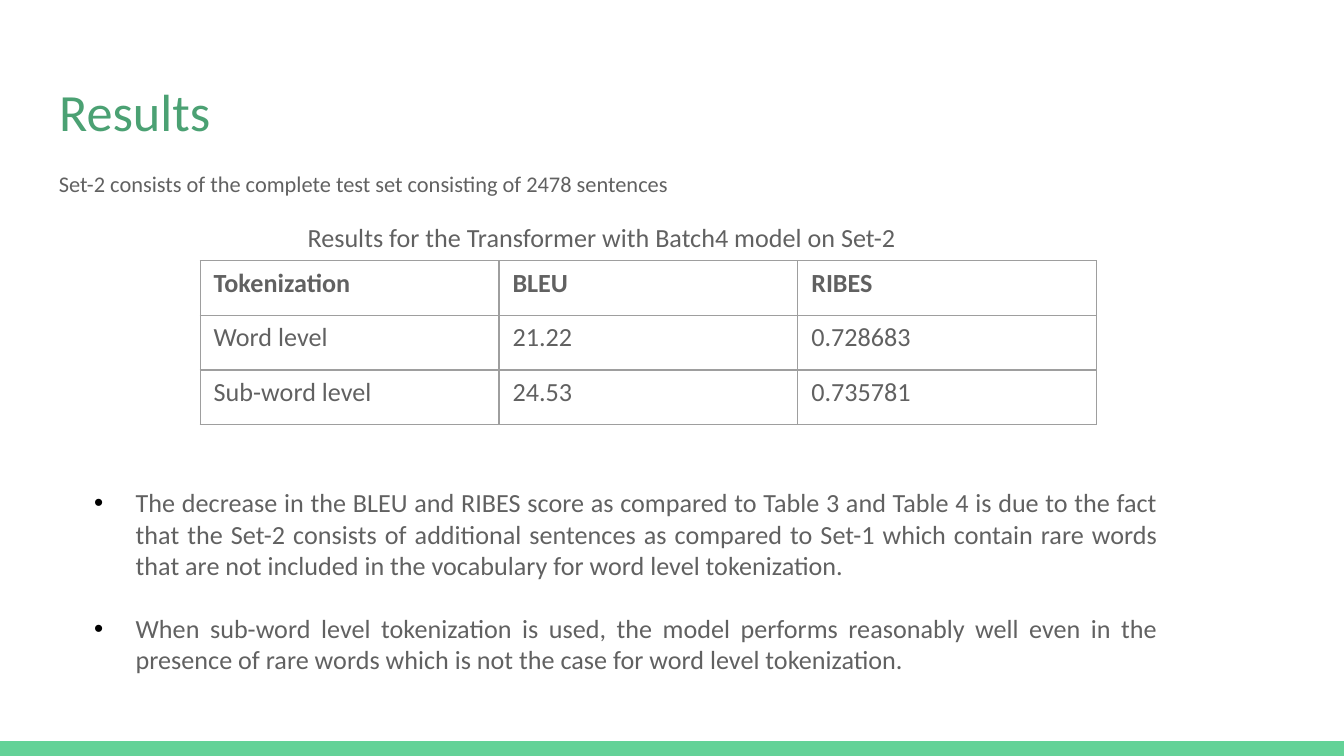
from dataclasses import dataclass

from lxml import etree
from pptx import Presentation
from pptx import util as u
from pptx.dml.color import RGBColor
from pptx.enum import shapes, text
from pptx.oxml import ns


@dataclass(frozen=True)
class Theme:
    font: str = "Calibri"
    title_color: str = "4BA173"
    text_color: str = "616161"
    bar_color: str = "63D297"
    border_color: str = "9E9E9E"
    bullet_color: str = "000000"
    title_size: int = 28
    text_size: int = 14
    note_size: int = 12
    border_width: float = 0.75


@dataclass(frozen=True)
class Area:
    """A place on the grid, in columns and rows of a tenth of an inch."""
    column: float
    row: float
    columns: float
    rows: float

    def lengths(self) -> tuple:
        return tuple(u.Inches(cells * CELL)
                     for cells in (self.column, self.row, self.columns, self.rows))


@dataclass(frozen=True)
class Label:
    words: str
    area: Area
    size: int


THEME = Theme()
CELL = 0.1
COLUMNS, ROWS = 100, 56.25
BAR_ROWS = 1.1

TITLE_AREA = Area(3.4, 4.9, 93.2, 6.3)
TABLE_AREA = Area(14.9, 19.4, 66.7, 12.2)
FINDINGS_AREA = Area(6, 35.7, 81.2, 15.1)

LABELS = [
    Label("Set-2 consists of the complete test set consisting of 2478 sentences",
          Area(3.4, 12.2, 86.3, 3), THEME.note_size),
    Label("Results for the Transformer with Batch4 model on Set-2",
          Area(21.9, 16, 49.3, 3.4), THEME.text_size),
]
SCORES = [
    ("Tokenization", "BLEU", "RIBES"),
    ("Word level", "21.22", "0.728683"),
    ("Sub-word level", "24.53", "0.735781"),
]
FINDINGS = [
    "The decrease in the BLEU and RIBES score as compared to Table 3 and Table 4 "
    "is due to the fact that the Set-2 consists of additional sentences as compared "
    "to Set-1 which contain rare words that are not included in the vocabulary for "
    "word level tokenization.",
    "When sub-word level tokenization is used, the model performs reasonably well "
    "even in the presence of rare words which is not the case for word level "
    "tokenization.",
]


def place(shape, area: Area) -> None:
    shape.left, shape.top, shape.width, shape.height = area.lengths()


def format_runs(paragraph, size: int, color: str = THEME.text_color,
                bold: bool = False) -> None:
    for run in paragraph.runs:
        run.font.name = THEME.font
        run.font.size = u.Pt(size)
        run.font.bold = bold
        run.font.color.rgb = RGBColor.from_string(color)


def add_bullet(paragraph, indent: float = 0.31) -> None:
    properties = paragraph._p.get_or_add_pPr()
    properties.set("marL", str(u.Inches(indent)))
    properties.set("indent", str(-u.Inches(indent)))
    color = etree.SubElement(properties, ns.qn("a:buClr"))
    etree.SubElement(color, ns.qn("a:srgbClr"), val=THEME.bullet_color)
    etree.SubElement(properties, ns.qn("a:buFont"), typeface="Arial")
    etree.SubElement(properties, ns.qn("a:buChar"), char="•")


def add_borders(cell) -> None:
    properties = cell._tc.get_or_add_tcPr()
    for side in ("lnL", "lnR", "lnT", "lnB"):
        line = etree.SubElement(properties, ns.qn(f"a:{side}"),
                                w=str(u.Pt(THEME.border_width)))
        fill = etree.SubElement(line, ns.qn("a:solidFill"))
        etree.SubElement(fill, ns.qn("a:srgbClr"), val=THEME.border_color)


def draw_bar(slide) -> None:
    area = Area(0, ROWS - BAR_ROWS, COLUMNS, BAR_ROWS)
    bar = slide.shapes.add_shape(shapes.MSO_SHAPE.RECTANGLE, *area.lengths())
    bar.shadow.inherit = False
    bar.fill.solid()
    bar.fill.fore_color.rgb = RGBColor.from_string(THEME.bar_color)
    bar.line.fill.background()


def fill_title(title) -> None:
    place(title, TITLE_AREA)
    frame = title.text_frame
    frame.text = "Results"
    frame.auto_size = text.MSO_AUTO_SIZE.NONE
    frame.vertical_anchor = text.MSO_ANCHOR.TOP
    frame.margin_left = frame.margin_right = u.Inches(CELL)
    frame.margin_top = frame.margin_bottom = u.Inches(CELL)
    frame.paragraphs[0].alignment = text.PP_ALIGN.LEFT
    format_runs(frame.paragraphs[0], THEME.title_size, THEME.title_color)


def draw_label(slide, label: Label) -> None:
    frame = slide.shapes.add_textbox(*label.area.lengths()).text_frame
    frame.word_wrap = True
    frame.text = label.words
    format_runs(frame.paragraphs[0], label.size)


def draw_scores(slide) -> None:
    table = slide.shapes.add_table(len(SCORES), len(SCORES[0]),
                                   *TABLE_AREA.lengths()).table
    table.first_row = table.horz_banding = False
    for row, values in enumerate(SCORES):
        for column, value in enumerate(values):
            cell = table.cell(row, column)
            cell.text = value
            add_borders(cell)
            cell.fill.background()
            format_runs(cell.text_frame.paragraphs[0], THEME.text_size, bold=row == 0)


def fill_findings(body) -> None:
    place(body, FINDINGS_AREA)
    frame = body.text_frame
    frame.text = "\n".join(FINDINGS)
    frame.auto_size = text.MSO_AUTO_SIZE.NONE
    for index, paragraph in enumerate(frame.paragraphs):
        add_bullet(paragraph)
        paragraph.alignment = text.PP_ALIGN.JUSTIFY
        paragraph.space_before = u.Pt(17 if index else 0)
        format_runs(paragraph, THEME.text_size)


def main() -> None:
    presentation = Presentation()
    presentation.slide_width = u.Inches(COLUMNS * CELL)
    presentation.slide_height = u.Inches(ROWS * CELL)
    slide = presentation.slides.add_slide(presentation.slide_layouts[1])

    # Heading and footer bar
    draw_bar(slide)
    fill_title(slide.shapes.title)

    # Scores with their captions
    for label in LABELS:
        draw_label(slide, label)
    draw_scores(slide)

    # Findings
    fill_findings(slide.placeholders[1])
    presentation.save("out.pptx")


if __name__ == "__main__":
    main()
